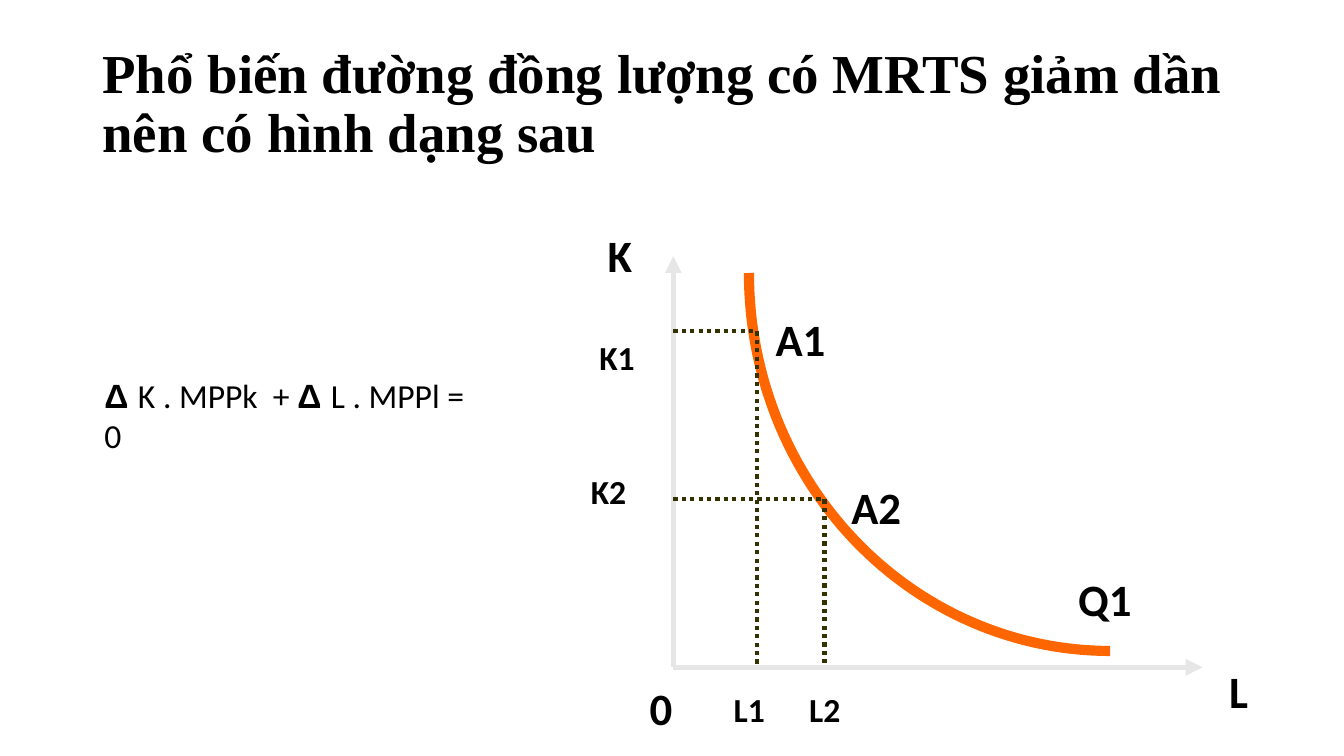
from dataclasses import dataclass
from math import cos, pi, sin

from lxml import etree
from pptx import Presentation
from pptx.dml.color import RGBColor
from pptx.enum.dml import MSO_LINE
from pptx.enum.text import MSO_ANCHOR, MSO_AUTO_SIZE, PP_ALIGN
from pptx.oxml.ns import qn
from pptx.slide import Slide
from pptx.util import Inches, Pt

DOTTED = MSO_LINE.ROUND_DOT
MIDDLE = MSO_ANCHOR.MIDDLE
NO_FIT = MSO_AUTO_SIZE.NONE
LEFT = PP_ALIGN.LEFT

WIDTH, HEIGHT = Inches(13.333), Inches(7.5)
COLUMNS, ROWS = 160, 90
COLUMN_OFFSET = 0.16
BLACK, ORANGE, GREY, OLIVE = "000000", "FF6600", "E7E6E6", "333300"

ORIGIN_X, ORIGIN_Y = 80, 79.45
AXIS_TOP, AXIS_RIGHT = 30.5, 143
CURVE_LEFT, CURVE_RIGHT = 89, 132
CURVE_TOP, CURVE_BOTTOM = 32.5, 77.5
CURVE_STEPS = 60


@dataclass(frozen=True)
class Label:
    text: str
    x: float
    y: float
    width: float
    size: int = 32


@dataclass(frozen=True)
class Point:
    x: float
    y: float


LABELS = [
    Label("Q1", 127, 67.45, 12),
    Label("L", 145, 78.45, 11),
    Label("K", 71, 26.5, 8),
    Label("0", 76, 80.5, 6),
    Label("A1", 91, 36.5, 11),
    Label("K1", 70, 39.5, 8, 24),
    Label("L1", 86, 81.45, 8, 24),
    Label("A2", 100, 56.5, 10),
    Label("K2", 69, 55.45, 8, 24),
    Label("L2", 95, 81.45, 11, 24),
]
POINTS = [Point(90, 39.45), Point(98, 59.45)]
FORMULA = [("Δ ", "K . MPPk  + "), ("Δ ", "L . MPPl = 0")]


def col(n: float) -> int:
    return round(WIDTH * (n + COLUMN_OFFSET) / COLUMNS)


def row(n: float) -> int:
    return round(HEIGHT * n / ROWS)


def span(n: float) -> int:
    return round(WIDTH * n / COLUMNS)


def rgb(color: str) -> RGBColor:
    return RGBColor.from_string(color)


def set_font(font, name: str, size: float, bold: bool) -> None:
    font.name = name
    font.size = Pt(size)
    font.bold = bold
    font.color.rgb = rgb(BLACK)


def add_title(slide: Slide, text: str) -> None:
    sp = slide.shapes.title
    sp.left, sp.top, sp.width, sp.height = col(10.84), row(7.5), span(138), row(18)
    tf = sp.text_frame
    tf.text = text
    tf.auto_size = NO_FIT
    tf.vertical_anchor = MIDDLE
    tf.margin_bottom = row(8.5)
    p = tf.paragraphs[0]
    p.alignment = LEFT
    p.line_spacing = 0.9
    set_font(p.font, "Times New Roman", 39.2, True)


def add_text_box(slide: Slide, x: float, y: float, width: float, height: float):
    sp = slide.shapes.add_textbox(col(x), row(y), span(width), row(height))
    sp.text_frame.word_wrap = True
    return sp.text_frame.paragraphs[0]


def add_label(slide: Slide, label: Label) -> None:
    p = add_text_box(slide, label.x, label.y, label.width, label.size / 6 + 2)
    p.text = label.text
    set_font(p.font, "Calibri", label.size, True)


def add_formula(slide: Slide) -> None:
    p = add_text_box(slide, 11.1, 44.05, 47.25, 6)
    for delta, term in FORMULA:
        for text, name, bold in ((delta, "Arial", True), (term, "Calibri", False)):
            r = p.add_run()
            r.text = text
            set_font(r.font, name, 24, bold)


def add_line(slide: Slide, start: Point, end: Point, color: str, width: float):
    sp = slide.shapes.add_connector(
        1, col(start.x), row(start.y), col(end.x), row(end.y))
    sp.line.color.rgb = rgb(color)
    sp.line.width = Pt(width)
    etree.SubElement(sp._element.spPr, qn("a:effectLst"))
    return sp


def add_axis(slide: Slide, end: Point) -> None:
    sp = add_line(slide, Point(ORIGIN_X, ORIGIN_Y), end, GREY, 4)
    etree.SubElement(sp.line._get_or_add_ln(), qn("a:tailEnd"), type="triangle")


def add_guides(slide: Slide, point: Point) -> None:
    for start, end in (
        (Point(ORIGIN_X, point.y), point),
        (point, Point(point.x, ORIGIN_Y)),
    ):
        sp = add_line(slide, start, end, OLIVE, 3)
        sp.line.dash_style = DOTTED


def add_curve(slide: Slide) -> None:
    angles = [pi / 2 * i / CURVE_STEPS for i in range(CURVE_STEPS + 1)]
    vertices = [
        (col(CURVE_RIGHT - (CURVE_RIGHT - CURVE_LEFT) * cos(a)),
         row(CURVE_TOP + (CURVE_BOTTOM - CURVE_TOP) * sin(a)))
        for a in angles
    ]
    builder = slide.shapes.build_freeform(*vertices[0])
    builder.add_line_segments(vertices[1:], close=False)
    sp = builder.convert_to_shape()
    sp.shadow.inherit = False
    sp.fill.background()
    sp.line.color.rgb = rgb(ORANGE)
    sp.line.width = Pt(7.25)


def main() -> None:
    prs = Presentation()
    prs.slide_width, prs.slide_height = WIDTH, HEIGHT
    slide = prs.slides.add_slide(prs.slide_layouts.get_by_name("Title Only"))
    add_title(slide, "Phổ biến đường đồng lượng có MRTS giảm dần nên có hình dạng sau")
    add_curve(slide)
    for end in (Point(ORIGIN_X, AXIS_TOP), Point(AXIS_RIGHT, ORIGIN_Y)):
        add_axis(slide, end)
    for point in POINTS:
        add_guides(slide, point)
    for label in LABELS:
        add_label(slide, label)
    add_formula(slide)
    prs.save("out.pptx")


if __name__ == "__main__":
    main()
